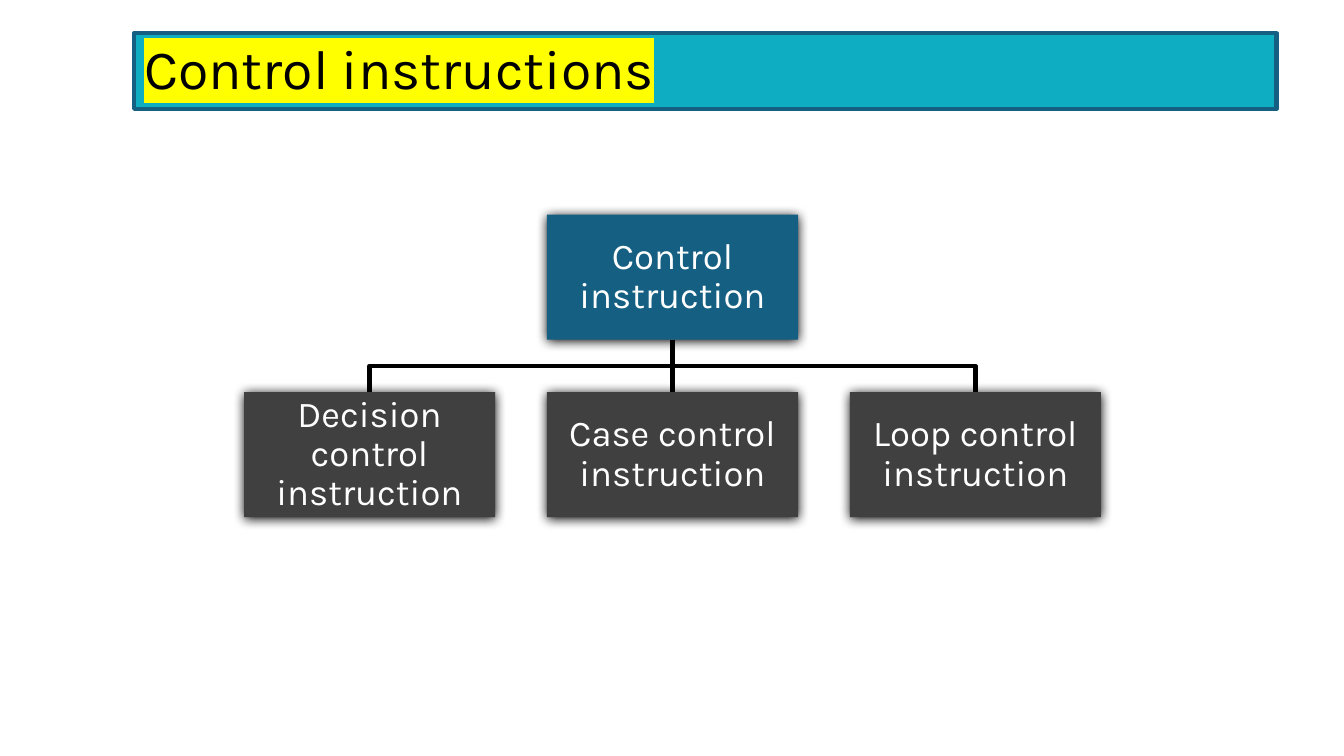
import pptx
import pptx.util
import pptx.dml.color
import pptx.enum.shapes
import pptx.enum.text
import pptx.oxml
import pptx.oxml.ns

Inches = pptx.util.Inches
Pt = pptx.util.Pt
ALIGN = pptx.enum.text.PP_ALIGN
NS = pptx.oxml.ns.nsdecls("a")
FONT = "Karla"
COLOR = {
    "teal": "0EADC2",
    "blue": "156082",
    "gray": "404040",
    "black": "000000",
    "white": "FFFFFF",
    "mark": "FFFF00",
}
KINDS = [
    "Decision control instruction",
    "Case control instruction",
    "Loop control instruction",
]


def rgb(name):
    return pptx.dml.color.RGBColor.from_string(COLOR[name])


def paint(shape, fill):
    shape.fill.solid()
    shape.fill.fore_color.rgb = rgb(fill)


def rule(shape, color):
    shape.line.color.rgb = rgb(color)
    shape.line.width = Pt(3)


def write(shape, text, size, color, align):
    frame = shape.text_frame
    frame.word_wrap = True
    frame.auto_size = pptx.enum.text.MSO_AUTO_SIZE.NONE
    frame.vertical_anchor = pptx.enum.text.MSO_ANCHOR.MIDDLE
    para = frame.paragraphs[0]
    para.alignment = align
    para.line_spacing = 0.9
    para.space_before = Pt(0)
    run = para.add_run()
    run.text = text
    run.font.name = FONT
    run.font.size = Pt(size)
    run.font.color.rgb = rgb(color)
    return run


def mark(run, color):
    """Highlight the run; the schema wants this right after its fill."""
    fill = run._r.get_or_add_rPr().find(pptx.oxml.ns.qn("a:solidFill"))
    fill.addnext(pptx.oxml.parse_xml(
        f'<a:highlight {NS}><a:srgbClr val="{COLOR[color]}"/></a:highlight>'))


def shade(shape):
    """Give the shape a soft shadow below."""
    shape.shadow.inherit = False
    glow = pptx.oxml.parse_xml(
        f'<a:outerShdw {NS} blurRad="{Pt(8.5)}" dist="{Pt(1)}" dir="5400000" '
        f'algn="ctr" rotWithShape="0"><a:srgbClr val="{COLOR["black"]}"/>'
        '</a:outerShdw>')
    shape._element.spPr.find(pptx.oxml.ns.qn("a:effectLst")).append(glow)


def head(slide, left, top, width, height):
    title = slide.shapes.title
    title.left, title.top = Inches(left), Inches(top)
    title.width, title.height = Inches(width), Inches(height)
    paint(title, "teal")
    rule(title, "blue")
    run = write(title, "Control instructions", 39.6, "black", ALIGN.LEFT)
    mark(run, "mark")


def node(slide, text, fill, left, top, width, height):
    box = slide.shapes.add_shape(
        pptx.enum.shapes.MSO_SHAPE.RECTANGLE,
        Inches(left), Inches(top), Inches(width), Inches(height))
    paint(box, fill)
    box.line.fill.background()
    shade(box)
    frame = box.text_frame
    frame.margin_left = frame.margin_right = Inches(0.02)
    frame.margin_top = frame.margin_bottom = Inches(0.02)
    write(box, text, 26, "white", ALIGN.CENTER)
    return box


def stem(slide, root, leaf):
    line = slide.shapes.add_connector(
        pptx.enum.shapes.MSO_CONNECTOR.STRAIGHT, 0, 0, 0, 0)
    line.begin_connect(root, 2)
    line.end_connect(leaf, 0)
    rule(line, "black")
    line._element.spPr.append(pptx.oxml.parse_xml(f"<a:effectLst {NS}/>"))


def elbow(slide, root, leaf):
    start = root.left + root.width // 2
    end = leaf.left + leaf.width // 2
    top = root.top + root.height
    mid = (top + leaf.top) // 2
    path = slide.shapes.build_freeform(start, top)
    path.add_line_segments([(start, mid), (end, mid), (end, leaf.top)], close=False)
    line = path.convert_to_shape()
    line.fill.background()
    line.shadow.inherit = False
    rule(line, "black")


def tree(slide, left, top, width, height):
    """Draw the root above an even row of its kinds."""
    wide, high = 2.49, 1.24
    step = (width - wide) / (len(KINDS) - 1)
    root = node(slide, "Control instruction", "blue",
                left + (width - wide) / 2, top, wide, high)
    row = top + height - high
    for i, text in enumerate(KINDS):
        leaf = node(slide, text, "gray", left + i * step, row, wide, high)
        join = stem if i == len(KINDS) // 2 else elbow
        join(slide, root, leaf)


def main():
    deck = pptx.Presentation()
    deck.slide_width, deck.slide_height = Inches(13.33), Inches(7.5)
    slide = deck.slides.add_slide(deck.slide_layouts[5])
    head(slide, 1.33, 0.33, 11.33, 0.75)
    tree(slide, 2.42, 2.13, 8.5, 3)
    deck.save("out.pptx")


if __name__ == "__main__":
    main()
